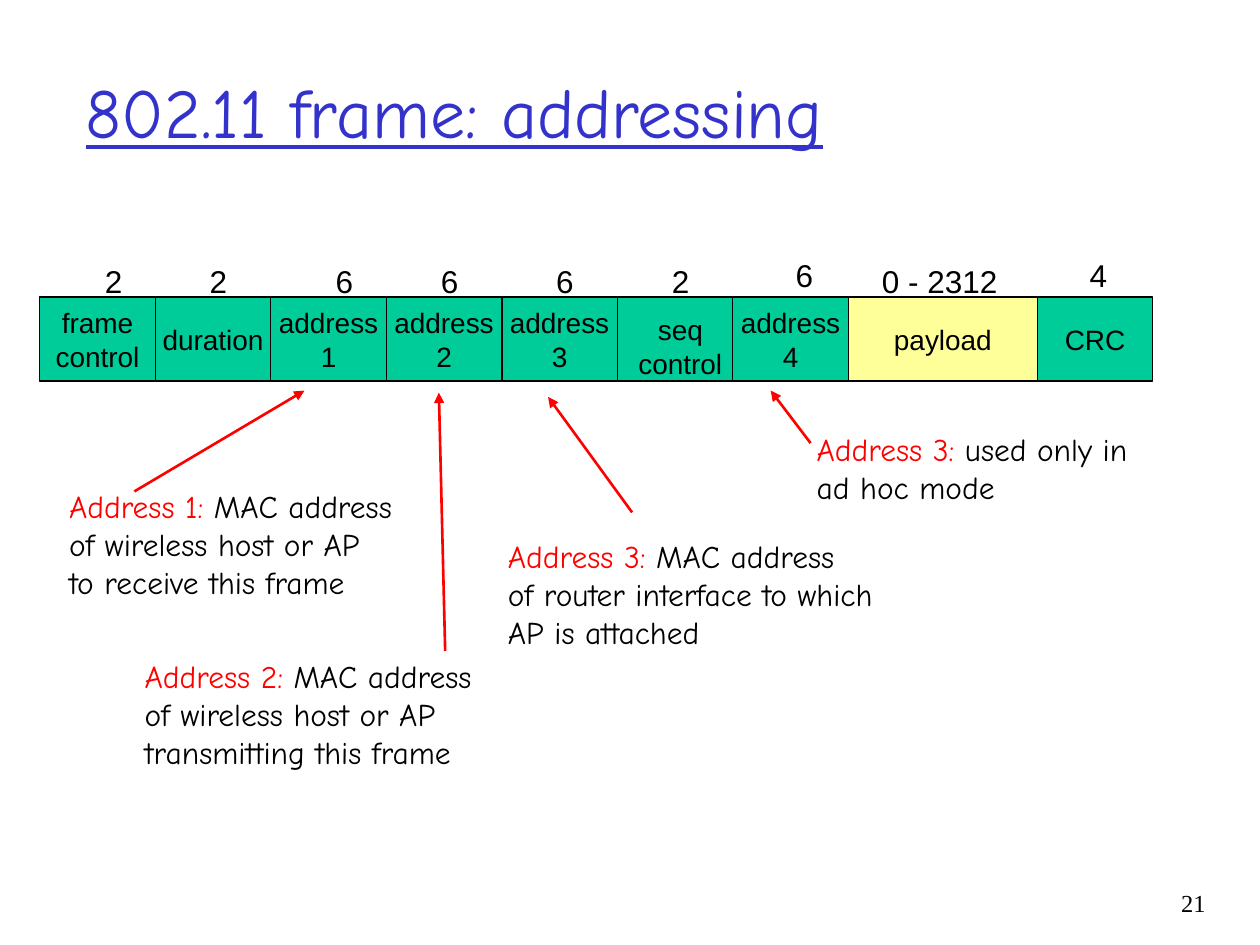
"""Build the 802.11 frame addressing slide."""
from lxml import etree
from pptx import Presentation, util as u
from pptx.dml.color import RGBColor
from pptx.enum import shapes, text
from pptx.oxml import ns

PX = 7620
THEME = {
    "ink": RGBColor(0, 0, 0),
    "accent": RGBColor(255, 0, 0),
    "title": RGBColor(0x33, 0x33, 0xCC),
    "header": RGBColor(0, 0xCC, 0x99),
    "payload": RGBColor(255, 255, 0x99),
    "cell_font": {"name": "Arial", "size": u.Pt(16)},
    "bytes_font": {"name": "Arial", "size": u.Pt(18)},
    "note_font": {"name": "Comic Neue", "size": u.Pt(18)},
    "title_font": {"name": "Comic Neue", "size": u.Pt(40), "underline": True},
    "page_font": {"name": "Times New Roman", "size": u.Pt(14)},
}
LEFT, CENTER, RIGHT = text.PP_ALIGN.LEFT, text.PP_ALIGN.CENTER, text.PP_ALIGN.RIGHT
NO_FIT, GROW = text.MSO_AUTO_SIZE.NONE, text.MSO_AUTO_SIZE.SHAPE_TO_FIT_TEXT
TOP, MIDDLE = text.MSO_ANCHOR.TOP, text.MSO_ANCHOR.MIDDLE


def write(holder, lines, font, align=LEFT, anchor=TOP, fit=GROW, wrap=False):
    frame = holder.text_frame
    frame_format = {"word_wrap": wrap, "auto_size": fit, "vertical_anchor": anchor}
    for key, value in frame_format.items():
        setattr(frame, key, value)
    for index, line in enumerate(lines):
        paragraph = frame.paragraphs[0] if index == 0 else frame.add_paragraph()
        paragraph.alignment = align
        for words, color in line:
            run = paragraph.add_run()
            run.text = words
            run.font.color.rgb = THEME[color]
            for key, value in THEME[font].items():
                setattr(run.font, key, value)


def textbox(*box):
    return slide.shapes.add_textbox(*(n * PX for n in box))


deck = Presentation()
deck.slide_width, deck.slide_height = 1200 * PX, 900 * PX
slide = deck.slides.add_slide(deck.slide_layouts[6])

write(textbox(70, 30, 1020, 150), [[("802.11 frame: addressing", "title")]],
      "title_font", anchor=MIDDLE, fit=NO_FIT, wrap=True)

fields = [
    (["frame", "control"], 110, "header"),
    (["duration"], 110, "header"),
    (["address", "1"], 110, "header"),
    (["address", "2"], 110, "header"),
    (["address", "3"], 110, "header"),
    ([], 110, "header"),
    (["address", "4"], 110, "header"),
    (["payload"], 180, "payload"),
    (["CRC"], 110, "header"),
]
field_left = 38
for names, width, color in fields:
    field = slide.shapes.add_shape(shapes.MSO_SHAPE.RECTANGLE, field_left * PX,
                                   283 * PX, width * PX, 80 * PX)
    field.shadow.inherit = False
    field.fill.solid()
    field.fill.fore_color.rgb = THEME[color]
    field.line.color.rgb = THEME["ink"]
    field.line.width = u.Pt(0.75)
    write(field, [[(name, "ink")] for name in names], "cell_font", CENTER, MIDDLE, NO_FIT)
    field_left += width

write(textbox(593, 292, 110, 77), [[("seq", "ink")], [("control", "ink")]],
      "cell_font", CENTER, fit=NO_FIT)

byte_counts = [
    ("2", 88, 244, 41), ("2", 188, 244, 41), ("6", 308, 244, 41),
    ("6", 408, 244, 41), ("6", 518, 244, 41), ("2", 628, 244, 41),
    ("6", 746, 238, 41), ("0 - 2312", 828, 244, 140), ("4", 1026, 238, 41),
]
for count, left, top, width in byte_counts:
    write(textbox(left, top, width, 48), [[(count, "ink")]], "bytes_font",
          fit=NO_FIT, wrap=True)

notes = [
    ("Address 1:", [" MAC address", "of wireless host or AP", "to receive this frame"],
     (54, 458, 340, 120)),
    ("Address 2:", [" MAC address", "of wireless host or AP", "transmitting this frame"],
     (126, 620, 344, 120)),
    ("Address 3:", [" MAC address", "of router interface to which AP is attached"],
     (472, 506, 401, 120)),
    ("Address 3:", [" used only in ad hoc mode"], (766, 404, 342, 84)),
]
for label, (opening, *rest), box in notes:
    lines = [[(label, "accent"), (opening, "ink")]] + [[(line, "ink")] for line in rest]
    write(textbox(*box), lines, "note_font", wrap=True)

pointers = [
    (128, 468, 290, 372),
    (424, 620, 418, 374),
    (602, 488, 522, 378),
    (772, 422, 734, 372),
]
for ends in pointers:
    pointer = slide.shapes.add_connector(shapes.MSO_CONNECTOR.STRAIGHT,
                                         *(n * PX for n in ends))
    pointer.line.color.rgb = THEME["accent"]
    pointer.line.width = u.Pt(1.5)
    etree.SubElement(pointer.line._get_or_add_ln(), ns.qn("a:tailEnd"), type="triangle")
    etree.SubElement(pointer._element.spPr, ns.qn("a:effectLst"))

write(textbox(1071, 840, 89, 60), [[("21", "ink")]], "page_font", RIGHT,
      fit=NO_FIT, wrap=True)

deck.save("out.pptx")
